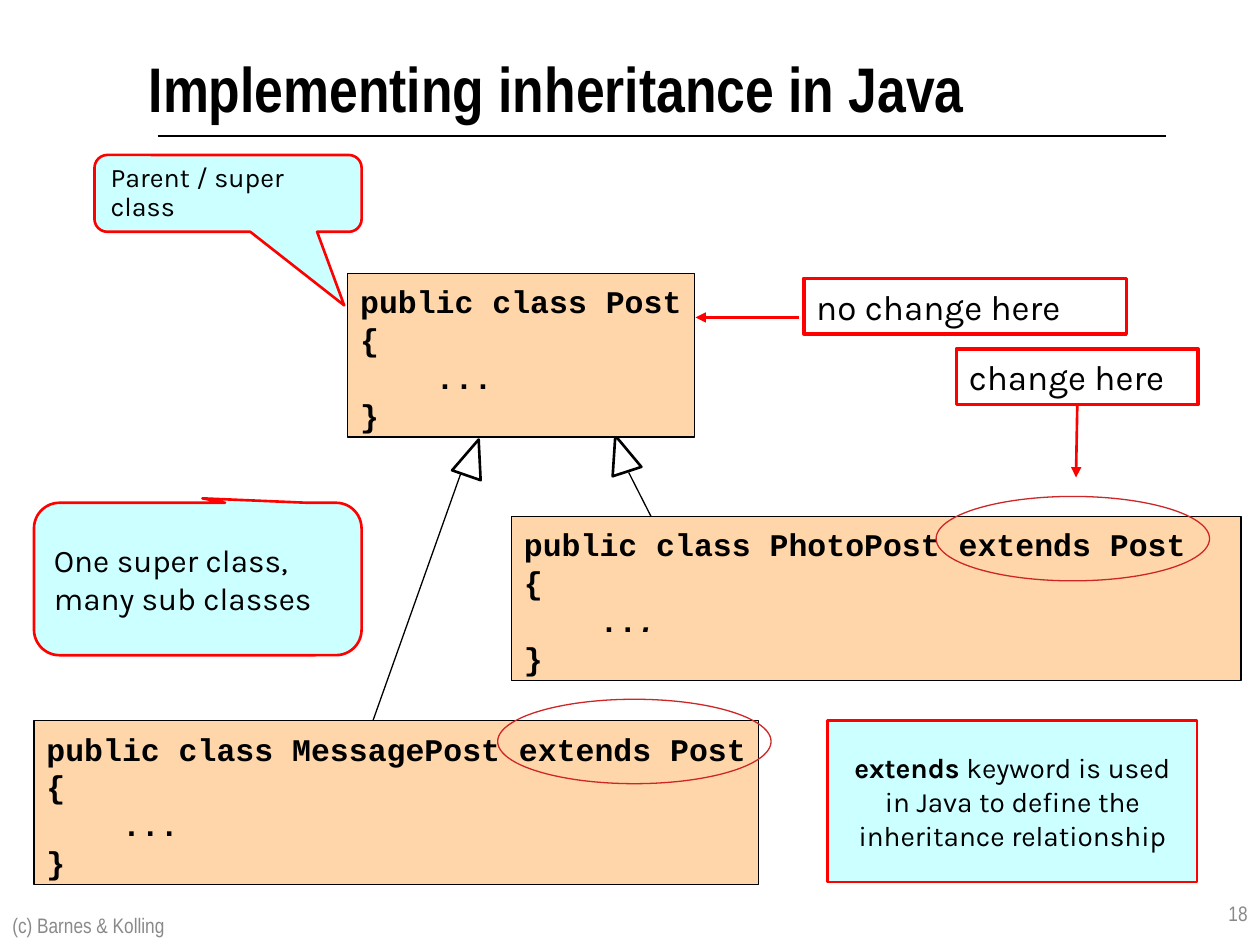
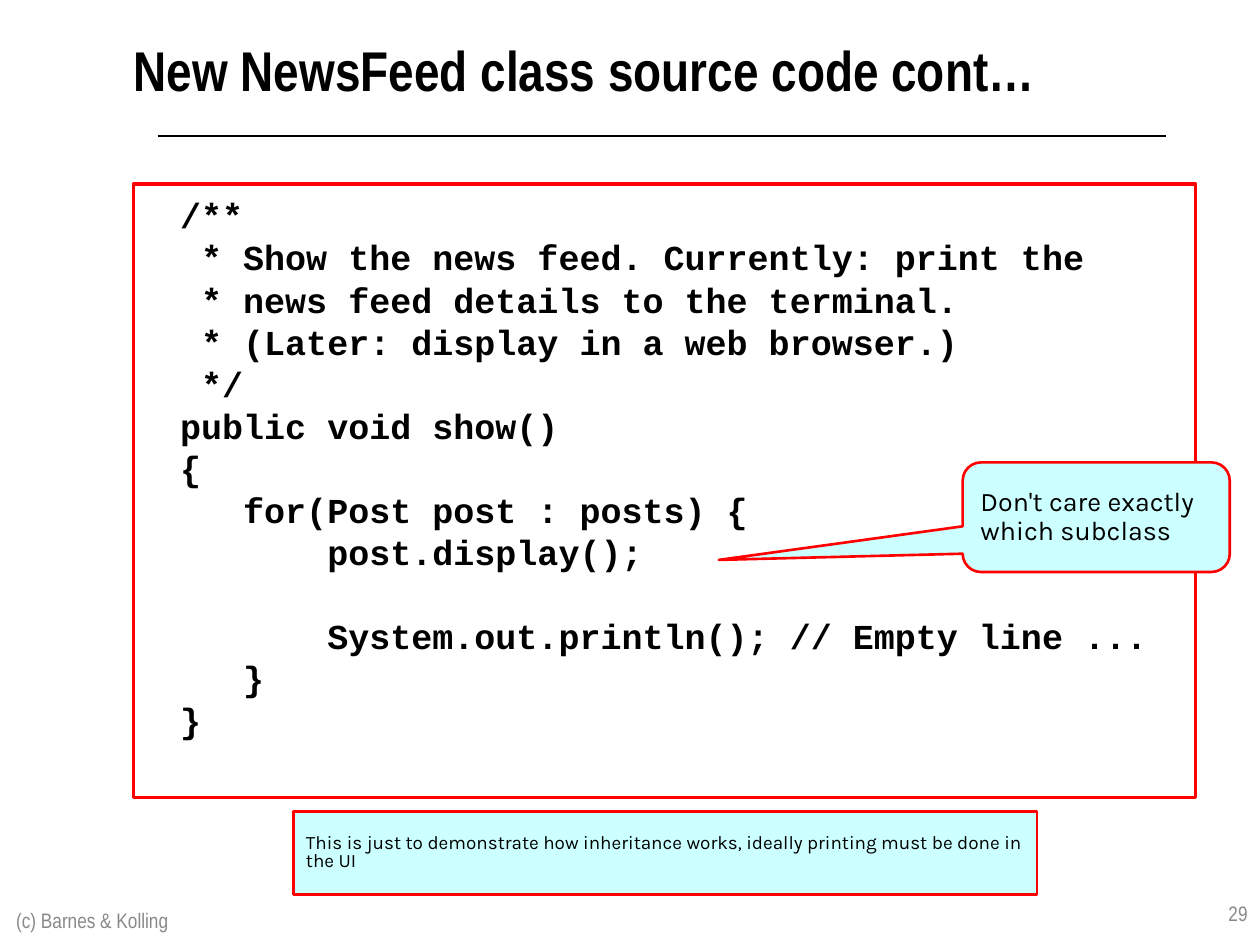
from lxml import etree
from pptx import Presentation
from pptx.dml.color import RGBColor
from pptx.enum.shapes import MSO_CONNECTOR, MSO_SHAPE as SHAPE
from pptx.enum.text import MSO_ANCHOR as ANCHOR, PP_ALIGN as ALIGN
from pptx.oxml.ns import qn
from pptx.util import Inches, Pt

# Theme: looks are (fill, line colour, line width); types are (font, size, colour, bold, spacing)
THEME = {
    "looks": {
        "code": ("FED6AA", "000000", 0.75),
        "label": ("FFFFFF", "FF0000", 2),
        "note": ("CCFFFF", "FF0000", 1.5),
        "ring": (None, "CD2626", 0.75),
        "arrowhead": (None, "000000", 1.5),
        "plain": (None, None, 0),
    },
    "types": {
        "title": ("Arial Narrow", 36, "000000", True, None),
        "long title": ("Arial Narrow", 32, "000000", True, None),
        "footer": ("Arial Narrow", 12, "898989", False, None),
        "code": ("Courier New", 18, "000000", True, Pt(21.6)),
        "big code": ("Courier New", 20, "000000", True, Pt(24)),
        "label": ("Karla", 20, "000000", False, None),
        "callout": ("Karla", 15.3, "000000", False, 0.9),
        "large callout": ("Karla", 18, "000000", False, None),
        "note": ("Karla", 16, "000000", False, None),
        "small note": ("Karla", 10.8, "000000", False, 0.8),
    },
}

prs = Presentation()
prs.slide_width, prs.slide_height = Inches(10), Inches(7.5)
CELL = prs.slide_width / 100  # grid of 100 columns by 75 rows


def add_box(s, at, look, lines=(), kind="note", shape=SHAPE.RECTANGLE, adj=(),
            margins=(1, 0.5, 1, 0.5), anchor=ANCHOR.MIDDLE, align=ALIGN.LEFT):
    """Place a shape (or fill the given placeholder) and set its text, one paragraph a line."""
    at = [round(v * CELL) for v in at]
    if shape is None:
        sp = s.shapes.title
        sp.left, sp.top, sp.width, sp.height = at
    else:
        sp = s.shapes.add_shape(shape, *at)
        sp.shadow.inherit = False
        fill, colour, width = THEME["looks"][look]
        if fill:
            sp.fill.solid()
            sp.fill.fore_color.rgb = RGBColor.from_string(fill)
        else:
            sp.fill.background()
        if colour:
            sp.line.color.rgb = RGBColor.from_string(colour)
            sp.line.width = Pt(width)
        else:
            sp.line.fill.background()
        for i, value in enumerate(adj):
            sp.adjustments[i] = value
    if not lines:
        return sp
    tf = sp.text_frame
    tf.word_wrap = True
    tf.vertical_anchor = anchor
    tf.margin_left, tf.margin_top, tf.margin_right, tf.margin_bottom = [
        round(m * CELL) for m in margins]
    font, size, colour, bold, spacing = THEME["types"][kind]
    for i, line in enumerate(lines):
        p = tf.add_paragraph() if i else tf.paragraphs[0]
        p.text = line
        p.alignment = align
        if spacing:
            p.line_spacing = spacing
        p.font.name, p.font.size, p.font.bold = font, Pt(size), bold
        p.font.color.rgb = RGBColor.from_string(colour)
    return sp


def add_line(s, start, end, colour="000000", width=0.75, arrow=False):
    """Draw a straight line between two grid points."""
    c = s.shapes.add_connector(
        MSO_CONNECTOR.STRAIGHT, *[round(v * CELL) for v in (*start, *end)])
    c.line.color.rgb = RGBColor.from_string(colour)
    c.line.width = Pt(width)
    if arrow:
        etree.SubElement(c.line._get_or_add_ln(), qn("a:tailEnd"), type="triangle")
    etree.SubElement(c._element.spPr, qn("a:effectLst"))


# Shared frame: title, rule, copyright line and page number
frames = [
    ("Implementing inheritance in Java", "title", (11.8, 3.9, 76.5, 7.5), "18", (0, 71.4)),
    ("New NewsFeed class source code cont…", "long title", (10.6, 2.8, 80, 5.5), "29", (0.3, 71)),
]
slides = []
for title, kind, at, number, footer in frames:
    s = prs.slides.add_slide(prs.slide_layouts[5])
    add_box(s, at, None, [title], kind, shape=None, margins=(0, 0, 0, 0), anchor=ANCHOR.TOP)
    add_line(s, (12.5, 10.8), (92.5, 10.8))
    add_box(s, (79.2, 70, 20.8, 5), "plain", [number], "footer", align=ALIGN.RIGHT)
    add_box(s, (*footer, 49.5, 4), "plain", ["(c) Barnes & Kolling"], "footer")
    slides.append(s)

# Slide 1: inheritance lines with hollow arrowheads
s = slides[0]
for start, end, head, turn in [
    ((53.3, 44.2), (49.9, 37.5), (48.1, 34.5), -18),
    ((29.6, 57.2), (36.6, 37.5), (36.3, 34.8), 19),
]:
    add_line(s, start, end)
    add_box(s, (*head, 2.4, 3), "arrowhead", shape=SHAPE.ISOSCELES_TRIANGLE).rotation = turn

# Class boxes
classes = [
    ("Post", (27.6, 21.7), 27.5),
    ("PhotoPost extends Post", (40.6, 41), 57.9),
    ("MessagePost extends Post", (2.7, 57.2), 57.5),
]
for name, corner, width in classes:
    sp = add_box(s, (*corner, width, 13), "code",
                 [f"public class {name}", "{", "    ...", "}"], "code",
                 margins=(1, 0.7, 0, 0.5), anchor=ANCHOR.TOP)
    if name.startswith("Photo"):
        p = sp.text_frame.paragraphs[2]
        p.runs[0].text = "    .."
        r = p.add_run()
        r.text, r.font.italic = ".", True

# Rings around the extends clauses
for corner in [(74.3, 39.4), (39.5, 55.5)]:
    add_box(s, (*corner, 21.7, 6.7), "ring", shape=SHAPE.OVAL)

# Change labels and their arrows
for text, at, start, end in [
    ("no change here", (63.8, 22.1, 25.6, 4.4), (63.4, 25.2), (55.2, 25.2)),
    ("change here", (75.9, 27.7, 19.2, 4.4), (85.5, 32.1), (85.4, 37.9)),
]:
    add_box(s, at, "label", [text], "label")
    add_line(s, start, end, "FF0000", 1.5, arrow=True)

# Callouts
add_box(s, (7.5, 12.3, 21.2, 6.1), "note", ["Parent / super class"], "callout",
        SHAPE.ROUNDED_RECTANGULAR_CALLOUT, (0.435, 1.458, 0.167))
add_box(s, (2.7, 39.9, 26, 12.1), "note", ["One super class, many sub classes"], "large callout",
        SHAPE.ROUNDED_RECTANGULAR_CALLOUT, (0.014, -0.529, 0.167))

# Keyword note
sp = add_box(s, (65.7, 57.2, 29.3, 12.8), "note", ["extends"], "note", align=ALIGN.CENTER)
p = sp.text_frame.paragraphs[0]
p.runs[0].font.bold = True
p.add_run().text = " keyword is used in Java to define the inheritance relationship"

# Slide 2: method source
s = slides[1]
code = [
    "/**",
    " * Show the news feed. Currently: print the",
    " * news feed details to the terminal.",
    " * (Later: display in a web browser.)",
    " */",
    "public void show()",
    "{",
    "   for(Post post : posts) {",
    "       post.display();\v",
    "       System.out.println(); // Empty line ...",
    "   }",
    "}",
]
add_box(s, (10.6, 14.6, 84.3, 48.7), "label", code, "big code",
        margins=(3.7, 0.8, 0, 0.5), anchor=ANCHOR.TOP)

# Callout and closing note
add_box(s, (76.4, 36.7, 21.2, 8.7), "note", ["Don't care exactly which subclass"], "callout",
        SHAPE.ROUNDED_RECTANGULAR_CALLOUT, (-1.413, 0.39, 0.167))
add_box(s, (23.3, 64.4, 59, 6.6), "note",
        ["This is just to demonstrate how inheritance works, "
         "ideally printing must be done in the UI"], "small note")

prs.save("out.pptx")
